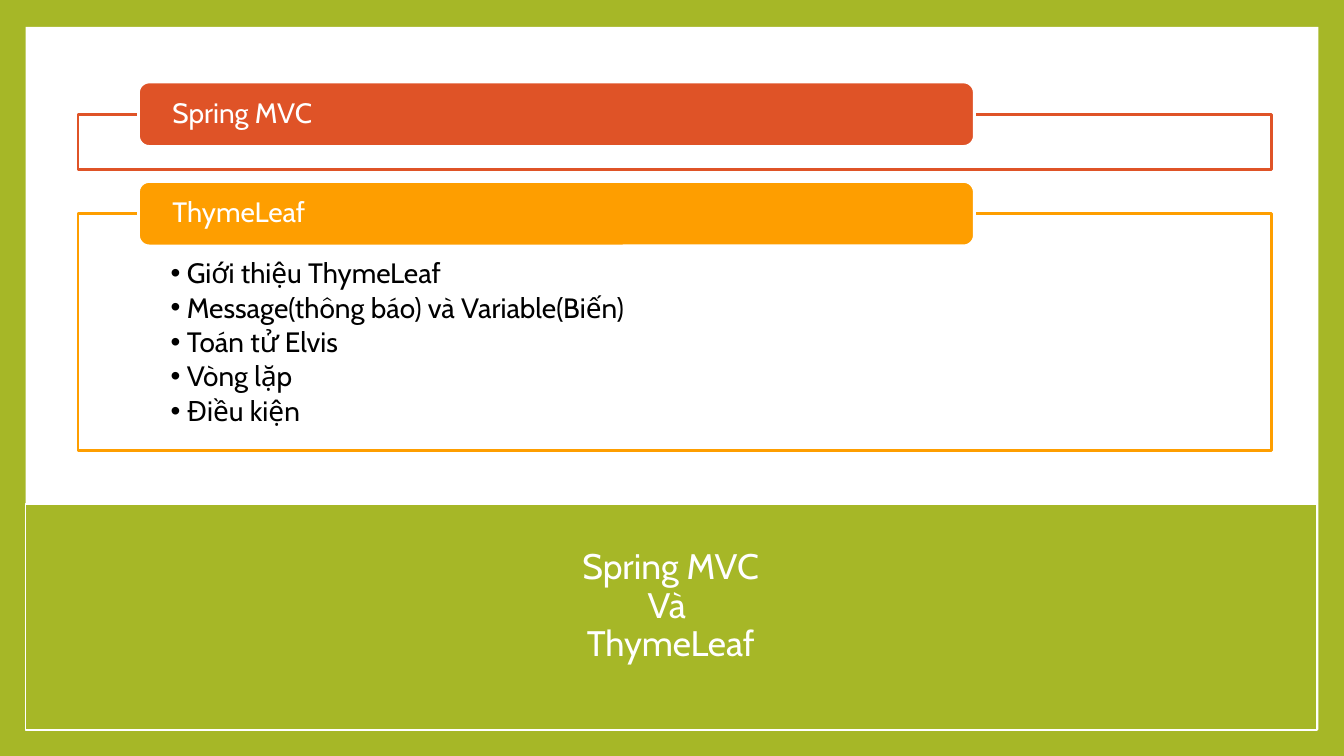
from lxml import etree
from pptx import Presentation
from pptx import util as u
from pptx.dml.color import RGBColor
from pptx.enum import shapes, text
from pptx.oxml.ns import qn

GREEN, RED, ORANGE, WHITE, BLACK = "A6B727", "DF5327", "FE9E00", "FFFFFF", "000000"

# Widescreen slide, 16:9
prs = Presentation()
prs.slide_width = u.Inches(10)
prs.slide_height = prs.slide_width * 9 // 16
s = prs.slides.add_slide(prs.slide_layouts[1])
title, body = s.shapes.title, s.placeholders[1]


def add_box(kind, x, y, w, h, fill, line=None, pt=1.5):
    sp = s.shapes.add_shape(kind, *map(u.Inches, (x, y, w, h)))
    sp.shadow.inherit = False
    sp.fill.solid()
    sp.fill.fore_color.rgb = RGBColor.from_string(fill)
    if line:
        sp.line.color.rgb = RGBColor.from_string(line)
        sp.line.width = u.Pt(pt)
    else:
        sp.line.fill.background()
    return sp


def format_text(sp, size, color, align, anchor, insets, after=0):
    tf = sp.text_frame
    tf.word_wrap, tf.auto_size = True, text.MSO_AUTO_SIZE.NONE
    tf.vertical_anchor = anchor
    (tf.margin_left, tf.margin_top,
     tf.margin_right, tf.margin_bottom) = map(u.Inches, insets)
    for p in tf.paragraphs:
        p.alignment, p.line_spacing = align, 0.9
        p.space_before, p.space_after = u.Pt(0), u.Pt(after)
        for r in p.runs:
            r.font.name, r.font.size = "Cabin", u.Pt(size)
            r.font.color.rgb = RGBColor.from_string(color)
        for br in p._p.findall(qn("a:br")):
            etree.SubElement(br, qn("a:rPr"), sz=str(size * 100))


RECT, ROUND = shapes.MSO_SHAPE.RECTANGLE, shapes.MSO_SHAPE.ROUNDED_RECTANGLE
LEFT, CENTER = text.PP_ALIGN.LEFT, text.PP_ALIGN.CENTER
TOP, MIDDLE = text.MSO_ANCHOR.TOP, text.MSO_ANCHOR.MIDDLE

# Green border, white page and green title band
add_box(RECT, 0, 0, prs.slide_width.inches, u.Emu(prs.slide_height).inches, GREEN)
add_box(RECT, 0.19, 0.2, 9.62, 5.23, WHITE)
add_box(RECT, 0.19, 3.75, 9.61, 1.68, GREEN, WHITE, 1)

# Title
title.left, title.top, title.width, title.height = map(u.Inches, (0.94, 3.96, 8.1, 1.11))
title.text_frame.text = "Spring MVC\vVà \vThymeLeaf"
format_text(title, 19, WHITE, CENTER, MIDDLE, (0.1, 0.05, 0.1, 0.05))
s.shapes._spTree.append(title._element)

# Topic list
body.left, body.top, body.width, body.height = map(u.Inches, (0.58, 1.59, 8.88, 1.76))
body.text_frame.text = "\n".join([
    "Giới thiệu ThymeLeaf",
    "Message(thông báo) và Variable(Biến)",
    "Toán tử Elvis",
    "Vòng lặp",
    "Điều kiện",
])
format_text(body, 15, BLACK, LEFT, TOP, (0.69, 0.34, 0.69, 0.12), after=2.25)
for p in body.text_frame.paragraphs:
    pPr = p._p.get_or_add_pPr()
    pPr.set("marL", str(u.Inches(0.12)))
    pPr.set("indent", str(u.Inches(-0.12)))
    color = etree.SubElement(pPr, qn("a:buClr"))
    etree.SubElement(color, qn("a:srgbClr"), val=BLACK)
    etree.SubElement(pPr, qn("a:buChar"), char="•")

# Sections: outlined frame with a label over its top edge
sections = [("Spring MVC", RED, 0.85, 0.41, None), ("ThymeLeaf", ORANGE, 1.59, 1.76, body)]
for name, color, top, height, content in sections:
    frame = add_box(RECT, 0.58, top, 8.88, height, WHITE, color)
    alpha = frame._element.spPr.find(qn("a:solidFill"))[0]
    etree.SubElement(alpha, qn("a:alpha"), val="90000")
    if content is not None:
        s.shapes._spTree.append(content._element)
    label = add_box(ROUND, 1.03, top - 0.24, 6.22, 0.48, color, WHITE)
    label.text_frame.text = name
    format_text(label, 15, WHITE, LEFT, MIDDLE, (0.23, 0, 0.23, 0))

prs.save("out.pptx")
